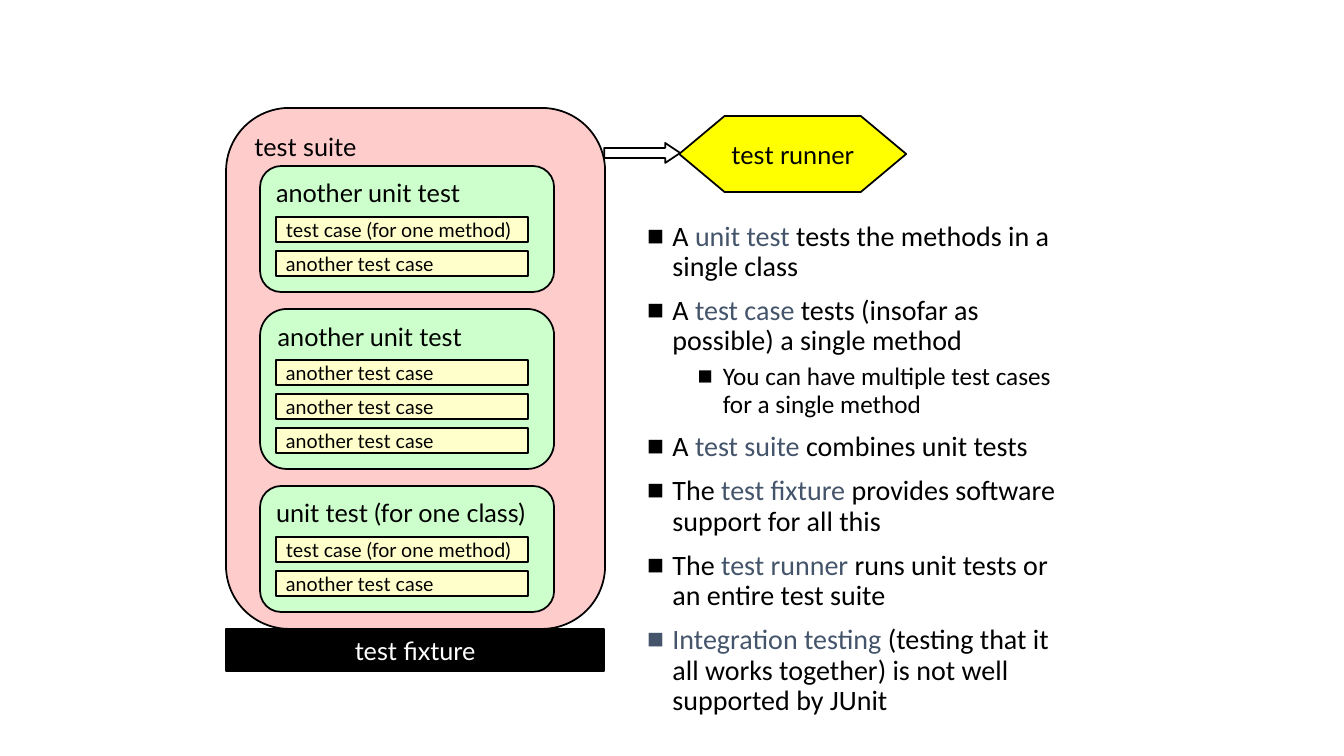
import pptx
import pptx.util
import pptx.dml.color
import pptx.enum.shapes
import pptx.enum.text
import lxml.etree

SCALE = 914400 / 100.8
KINDS = pptx.enum.shapes.MSO_SHAPE
ANCHORS = pptx.enum.text.MSO_ANCHOR
ALIGNS = pptx.enum.text.PP_ALIGN
BLACK, WHITE, SLATE = "000000", "FFFFFF", "44546A"
PINK, GREEN, CREAM, YELLOW = "FFCCCC", "CCFFCC", "FFFFCC", "FFFF00"

CASE_STEP = 34
FIRST_CASE = 51
UNIT_GAP = 17
UNITS = [
    ("another unit test", ["test case (for one method)", "another test case"]),
    ("another unit test", ["another test case"] * 3),
    ("unit test (for one class)", ["test case (for one method)", "another test case"]),
]

# Each bullet: level, then plain, highlighted and plain text.
BULLETS = [
    (0, "A ", "unit test", " tests the methods in a single class"),
    (0, "A ", "test case", " tests (insofar as possible) a single method"),
    (1, "You can have multiple test cases for a single method", "", ""),
    (0, "A ", "test suite", " combines unit tests"),
    (0, "The ", "test fixture", " provides software support for all this"),
    (0, "The ", "test runner", " runs unit tests or an entire test suite"),
    (0, "", "Integration testing", " (testing that it all works together) is not well supported by JUnit"),
]


def px(length):
    """Turn whole pixels into EMU."""
    return pptx.util.Emu(round(length * SCALE))


def colour(value):
    """Turn a hex string into a colour."""
    return pptx.dml.color.RGBColor.from_string(value)


def add_text(para, text, size=18, font="Lato", color=BLACK):
    """Add one formatted span to a paragraph."""
    span = para.add_run()
    span.text = text
    span.font.size = pptx.util.Pt(size)
    span.font.name = font
    span.font.color.rgb = colour(color)


def add_box(slide, kind, left, top, width, height, fill=None, text="",
            anchor=ANCHORS.MIDDLE, align=ALIGNS.LEFT, **text_format):
    """Add an outlined shape with an optional label."""
    box = slide.shapes.add_shape(kind, px(left), px(top), px(width), px(height))
    box.shadow.inherit = False
    if fill:
        box.fill.solid()
        box.fill.fore_color.rgb = colour(fill)
    else:
        box.fill.background()
    box.line.color.rgb = colour(BLACK)
    box.line.width = pptx.util.Pt(1.25)
    if text:
        frame = box.text_frame
        frame.word_wrap = False
        frame.vertical_anchor = anchor
        frame.paragraphs[0].alignment = align
        add_text(frame.paragraphs[0], text, **text_format)
    return box


def add_unit(slide, top, label, cases):
    """Add a unit test with its test cases and return its bottom."""
    height = 58 + CASE_STEP * len(cases)
    add_box(slide, KINDS.FLOWCHART_ALTERNATE_PROCESS, 260, top, 294, height,
            fill=GREEN, text=label, anchor=ANCHORS.TOP)
    for index, case in enumerate(cases):
        add_box(slide, KINDS.FLOWCHART_PROCESS, 276, top + FIRST_CASE + index * CASE_STEP,
                252, 25, fill=CREAM, text=case, size=14)
    return top + height


def set_bullet(para, level):
    """Give a paragraph its spacing, indents and square bullet."""
    para.level = level
    para.line_spacing = 0.9
    para.space_before = pptx.util.Pt(5 if level else 10)
    properties = para._p.get_or_add_pPr()
    properties.set("marL", str(pptx.util.Inches(0.75 if level else 0.25)))
    properties.set("indent", str(pptx.util.Inches(-0.25)))
    bullet = lxml.etree.SubElement(properties, pptx.oxml.ns.qn("a:buChar"))
    bullet.set("char", "■")


def fill_body(body):
    """Place the body placeholder and write the bullet list."""
    body.left, body.top, body.width, body.height = px(637), px(217), px(436), px(471)
    frame = body.text_frame
    frame.word_wrap = True
    frame.auto_size = pptx.enum.text.MSO_AUTO_SIZE.NONE
    frame.vertical_anchor = ANCHORS.TOP
    for index, (level, before, term, after) in enumerate(BULLETS):
        para = frame.add_paragraph() if index else frame.paragraphs[0]
        set_bullet(para, level)
        for text, color in ((before, BLACK), (term, SLATE), (after, BLACK)):
            if text:
                add_text(para, text, size=18 if level else 20, font="Calibri", color=color)


def main():
    """Build the slide and save the deck."""
    deck = pptx.Presentation()
    deck.slide_width = pptx.util.Inches(13.33)
    deck.slide_height = pptx.util.Inches(7.5)
    slide = deck.slides.add_slide(deck.slide_layouts[1])
    title = slide.shapes.title
    title.element.getparent().remove(title.element)
    fill_body(slide.placeholders[1])

    add_box(slide, KINDS.FLOWCHART_ALTERNATE_PROCESS, 226, 108, 379, 521,
            fill=PINK, text="test suite", anchor=ANCHORS.TOP)
    top = 166
    for label, cases in UNITS:
        top = add_unit(slide, top, label, cases) + UNIT_GAP
    add_box(slide, KINDS.FLOWCHART_PROCESS, 226, 629, 378, 42,
            fill=BLACK, text="test fixture", align=ALIGNS.CENTER, color=WHITE)

    add_box(slide, KINDS.FLOWCHART_PREPARATION, 679, 116, 227, 76,
            fill=YELLOW, text="test runner", align=ALIGNS.CENTER)
    arrow = add_box(slide, KINDS.RIGHT_ARROW, 604, 143, 76, 20)
    arrow.adjustments[0], arrow.adjustments[1] = 0.5, 0.75

    deck.save("out.pptx")


main()
